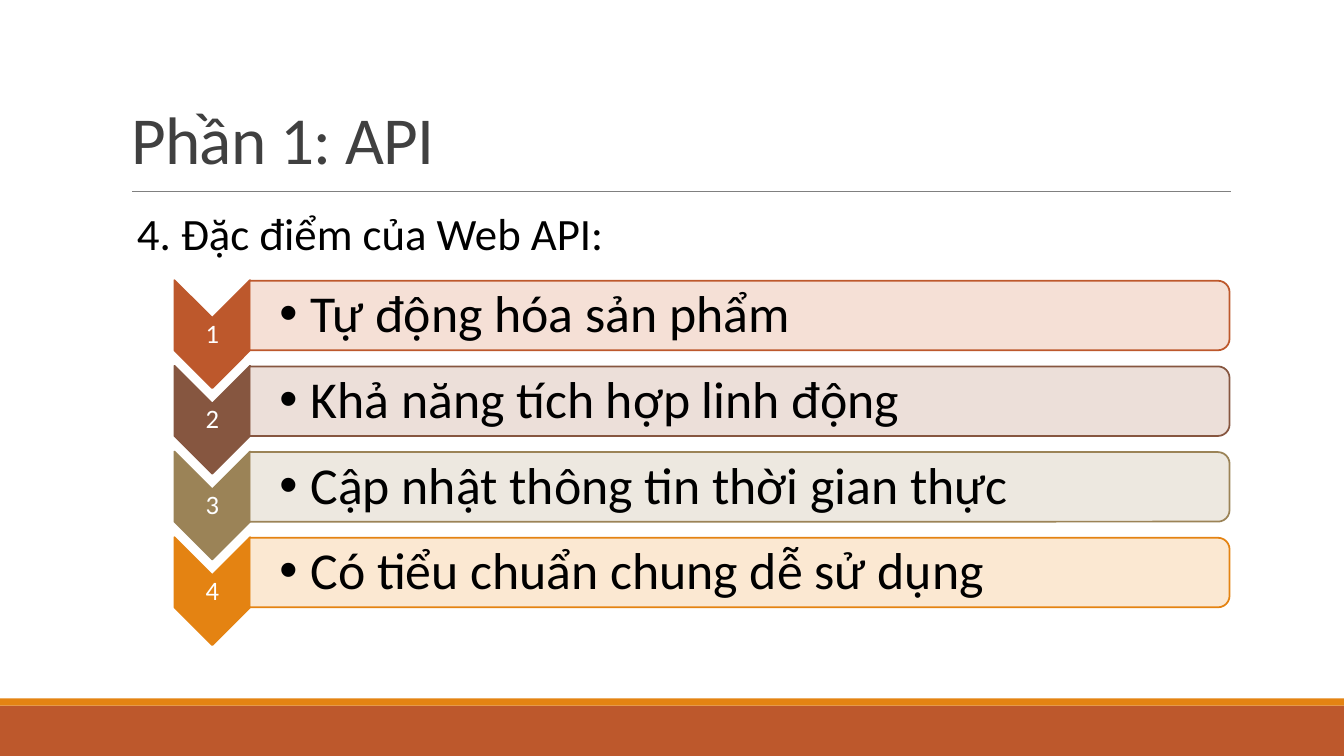
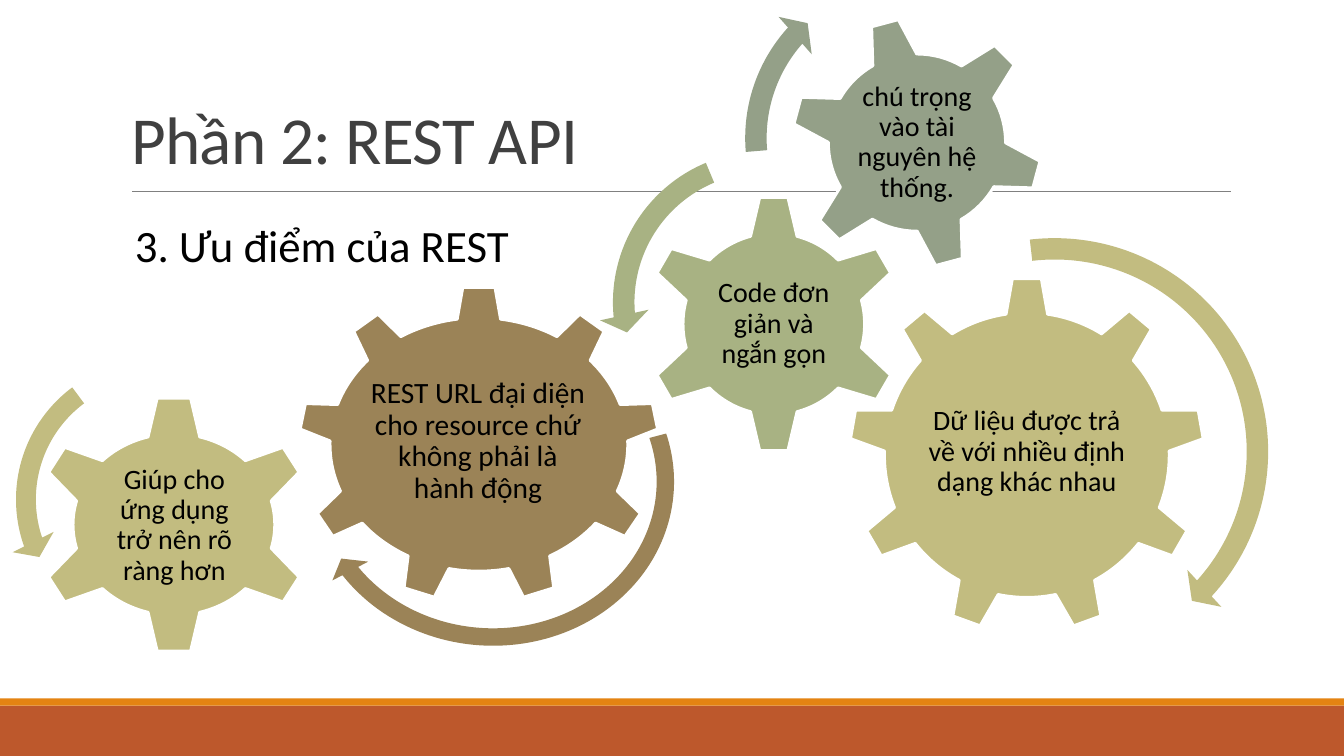
from dataclasses import dataclass
from typing import NamedTuple

import lxml.etree
import pptx
import pptx.dml.color
import pptx.enum.shapes
import pptx.enum.text
import pptx.oxml.ns
import pptx.slide
import pptx.util

Inches = pptx.util.Inches
Pt = pptx.util.Pt
SHAPE = pptx.enum.shapes.MSO_SHAPE
ALIGN = pptx.enum.text.PP_ALIGN
ANCHOR = pptx.enum.text.MSO_ANCHOR
qn = pptx.oxml.ns.qn


@dataclass(frozen=True)
class Theme:
    font: str = "Calibri"
    rust: str = "BD582C"
    orange: str = "E48312"
    brown: str = "865640"
    tan: str = "9B8357"
    khaki: str = "C2BC80"
    sage: str = "A8B283"
    moss: str = "94A088"
    rule: str = "808080"
    title: str = "404040"
    black: str = "000000"
    white: str = "FFFFFF"
    title_size: int = 48
    heading_size: int = 32
    item_size: int = 37
    number_size: int = 19
    gear_size: int = 20
    large_gear_size: int = 21


THEME = Theme()


class Box(NamedTuple):
    left: float
    top: float
    width: float
    height: float


class Feature(NamedTuple):
    text: str
    color: str
    tint: str


class Gear(NamedTuple):
    kind: SHAPE
    box: Box
    color: str
    text: str
    text_box: Box
    rotation: float = 0
    size: int = THEME.gear_size


class Arrow(NamedTuple):
    kind: SHAPE
    box: Box
    color: str
    adjustments: tuple[float, ...]
    rotation: float = 0


FEATURES = (
    Feature("Tự động hóa sản phẩm", THEME.rust, "F5DDD2"),
    Feature("Khả năng tích hợp linh động", THEME.brown, "EBDCD5"),
    Feature("Cập nhật thông tin thời gian thực", THEME.tan, "ECE6DD"),
    Feature("Có tiểu chuẩn chung dễ sử dụng", THEME.orange, "FBE6CE"),
)
FEATURE_PITCH = 0.85

GEARS = (
    Gear(SHAPE.GEAR_9, Box(2.96, 2.84, 3.58, 3.14), THEME.tan,
         "REST URL đại diện cho resource chứ không phải là hành động",
         Box(3.64, 3.57, 2.2, 1.62), size=THEME.large_gear_size),
    Gear(SHAPE.GEAR_6, Box(0.34, 3.92, 2.77, 2.57), THEME.khaki,
         "Giúp cho ứng dụng trở nên rõ ràng hơn", Box(1.02, 4.58, 1.42, 1.27)),
    Gear(SHAPE.GEAR_9, Box(8.42, 2.75, 3.53, 3.53), THEME.khaki,
         "Dữ liệu được trả về với nhiều định dạng khác nhau",
         Box(9.13, 3.58, 2.11, 1.81)),
    Gear(SHAPE.GEAR_6, Box(6.39, 1.93, 2.57, 2.57), THEME.sage,
         "Code đơn giản và ngắn gọn", Box(7.04, 2.58, 1.27, 1.27)),
    Gear(SHAPE.GEAR_6, Box(7.84, 0.16, 2.51, 2.51), THEME.moss,
         "chú trọng vào tài nguyên hệ thống.", Box(8.39, 0.71, 1.41, 1.41),
         rotation=345),
)

LEFT_TURN = (0.065, 4.3, 104.891, 148.378, 0.075)
ARROWS = (
    Arrow(SHAPE.CIRCULAR_ARROW, Box(3.11, 2.83, 3.52, 3.86), THEME.tan,
          (0.049, 3.126, 32.244, 151.137, 0.057), rotation=93.3),
    Arrow(SHAPE.LEFT_CIRCULAR_ARROW, Box(0.03, 3.44, 3.03, 3.03), THEME.khaki,
          LEFT_TURN, rotation=346),
    Arrow(SHAPE.CIRCULAR_ARROW, Box(8.2, 2.22, 4.52, 4.52), THEME.khaki,
          (0.047, 2.99, 25.456, 157.994, 0.055)),
    Arrow(SHAPE.LEFT_CIRCULAR_ARROW, Box(5.94, 1.36, 3.28, 3.28), THEME.sage,
          LEFT_TURN),
    Arrow(SHAPE.CIRCULAR_ARROW, Box(7.25, -0.4, 3.54, 3.54), THEME.moss,
          (0.06, 3.941, 133.138, 105.082, 0.07)),
)


def rgb(color: str) -> pptx.dml.color.RGBColor:
    return pptx.dml.color.RGBColor.from_string(color)


def lengths(box: Box) -> list[pptx.util.Length]:
    return [Inches(value) for value in box]


def add_shape(slide: pptx.slide.Slide, kind: SHAPE, box: Box, fill: str,
              line: str | None = None, line_width: float = 1.25,
              rotation: float = 0):
    sp = slide.shapes.add_shape(kind, *lengths(box))
    sp.shadow.inherit = False
    sp.rotation = rotation
    sp.fill.solid()
    sp.fill.fore_color.rgb = rgb(fill)
    if line:
        sp.line.color.rgb = rgb(line)
        sp.line.width = Pt(line_width)
    else:
        sp.line.fill.background()
    return sp


def format_text(p, size: int, color: str) -> None:
    for r in p.runs:
        r.font.name = THEME.font
        r.font.size = Pt(size)
        r.font.color.rgb = rgb(color)


def add_text(slide: pptx.slide.Slide, box: Box, text: str, size: int,
             color: str = THEME.black, inset: float | None = None,
             left_inset: float | None = None, align: ALIGN = ALIGN.LEFT):
    tf = slide.shapes.add_textbox(*lengths(box)).text_frame
    tf.word_wrap = True
    p = tf.paragraphs[0]
    p.text = text
    p.alignment = align
    if inset is not None:
        tf.vertical_anchor = ANCHOR.MIDDLE
        tf.margin_top = tf.margin_right = tf.margin_bottom = Inches(inset)
        tf.margin_left = Inches(inset if left_inset is None else left_inset)
        p.line_spacing = 0.9
    format_text(p, size, color)
    return p


def add_bullet(p, indent: float) -> None:
    pPr = p._p.get_or_add_pPr()
    pPr.set("marL", str(Inches(indent)))
    pPr.set("indent", str(-Inches(indent)))
    lxml.etree.SubElement(pPr, qn("a:buFont")).set("typeface", "Arial")
    lxml.etree.SubElement(pPr, qn("a:buChar")).set("char", "•")


def set_alpha(sp, percent: int) -> None:
    color = sp._element.spPr.find(qn("a:solidFill"))[0]
    lxml.etree.SubElement(color, qn("a:alpha")).set("val", str(percent * 1000))


def add_title_slide(prs, title: str) -> pptx.slide.Slide:
    slide = prs.slides.add_slide(prs.slide_layouts[5])
    add_shape(slide, SHAPE.RECTANGLE, Box(0, 7, 13.33, 0.5), THEME.rust)
    add_shape(slide, SHAPE.RECTANGLE, Box(0, 6.93, 13.33, 0.07), THEME.orange)
    rule = slide.shapes.add_connector(
        pptx.enum.shapes.MSO_CONNECTOR.STRAIGHT,
        Inches(1.31), Inches(1.9), Inches(12.21), Inches(1.9))
    rule.line.color.rgb = rgb(THEME.rule)
    rule.line.width = Pt(0.5)
    lxml.etree.SubElement(rule._element.spPr, qn("a:effectLst"))

    sp = slide.shapes.title
    sp.left, sp.top, sp.width, sp.height = lengths(Box(1.2, 0.31, 11, 1.51))
    tf = sp.text_frame
    tf.text = title
    tf.word_wrap = True
    tf.auto_size = pptx.enum.text.MSO_AUTO_SIZE.NONE
    tf.vertical_anchor = ANCHOR.BOTTOM
    p = tf.paragraphs[0]
    p.alignment = ALIGN.LEFT
    p.line_spacing = 0.85
    format_text(p, THEME.title_size, THEME.title)
    p.runs[0]._r.get_or_add_rPr().set("spc", "-50")
    return slide


def add_feature(slide: pptx.slide.Slide, index: int, feature: Feature) -> None:
    shift = index * FEATURE_PITCH
    add_shape(slide, SHAPE.CHEVRON, Box(1.57, 2.94 + shift, 1.07, 0.75),
              feature.color, feature.color, rotation=90)
    add_text(slide, Box(1.73, 3.16 + shift, 0.75, 0.32), str(index + 1),
             THEME.number_size, THEME.white, inset=0.01, align=ALIGN.CENTER)
    bar = add_shape(slide, SHAPE.ROUND_2_SAME_RECTANGLE,
                    Box(6.99, -1.73 + shift, 0.69, 9.72),
                    feature.tint, feature.color, rotation=90)
    set_alpha(bar, 90)
    p = add_text(slide, Box(2.48, 2.82 + shift, 9.69, 0.63), feature.text,
                 THEME.item_size, inset=0.03, left_inset=0.29)
    add_bullet(p, 0.31)


def add_gear(slide: pptx.slide.Slide, gear: Gear) -> None:
    add_shape(slide, gear.kind, gear.box, gear.color, THEME.white, 2,
              gear.rotation)
    add_text(slide, gear.text_box, gear.text, gear.size, inset=0.03,
             align=ALIGN.CENTER)


def add_arrow(slide: pptx.slide.Slide, arrow: Arrow) -> None:
    sp = add_shape(slide, arrow.kind, arrow.box, arrow.color,
                   rotation=arrow.rotation)
    for i, value in enumerate(arrow.adjustments):
        sp.adjustments[i] = value


def build_features(prs) -> None:
    slide = add_title_slide(prs, "Phần 1: API")
    add_text(slide, Box(1.26, 1.99, 5.76, 0.64), "4. Đặc điểm của Web API:",
             THEME.heading_size)
    for i, feature in enumerate(FEATURES):
        add_feature(slide, i, feature)


def build_advantages(prs) -> None:
    slide = add_title_slide(prs, "Phần 2: REST API")
    add_text(slide, Box(1.24, 2.11, 5.07, 0.64), "3. Ưu điểm của REST",
             THEME.heading_size)
    for gear in GEARS:
        add_gear(slide, gear)
    for arrow in ARROWS:
        add_arrow(slide, arrow)


def main() -> None:
    prs = pptx.Presentation()
    prs.slide_width = Inches(13.33)
    prs.slide_height = Inches(7.5)
    build_features(prs)
    build_advantages(prs)
    prs.save("out.pptx")


if __name__ == "__main__":
    main()
